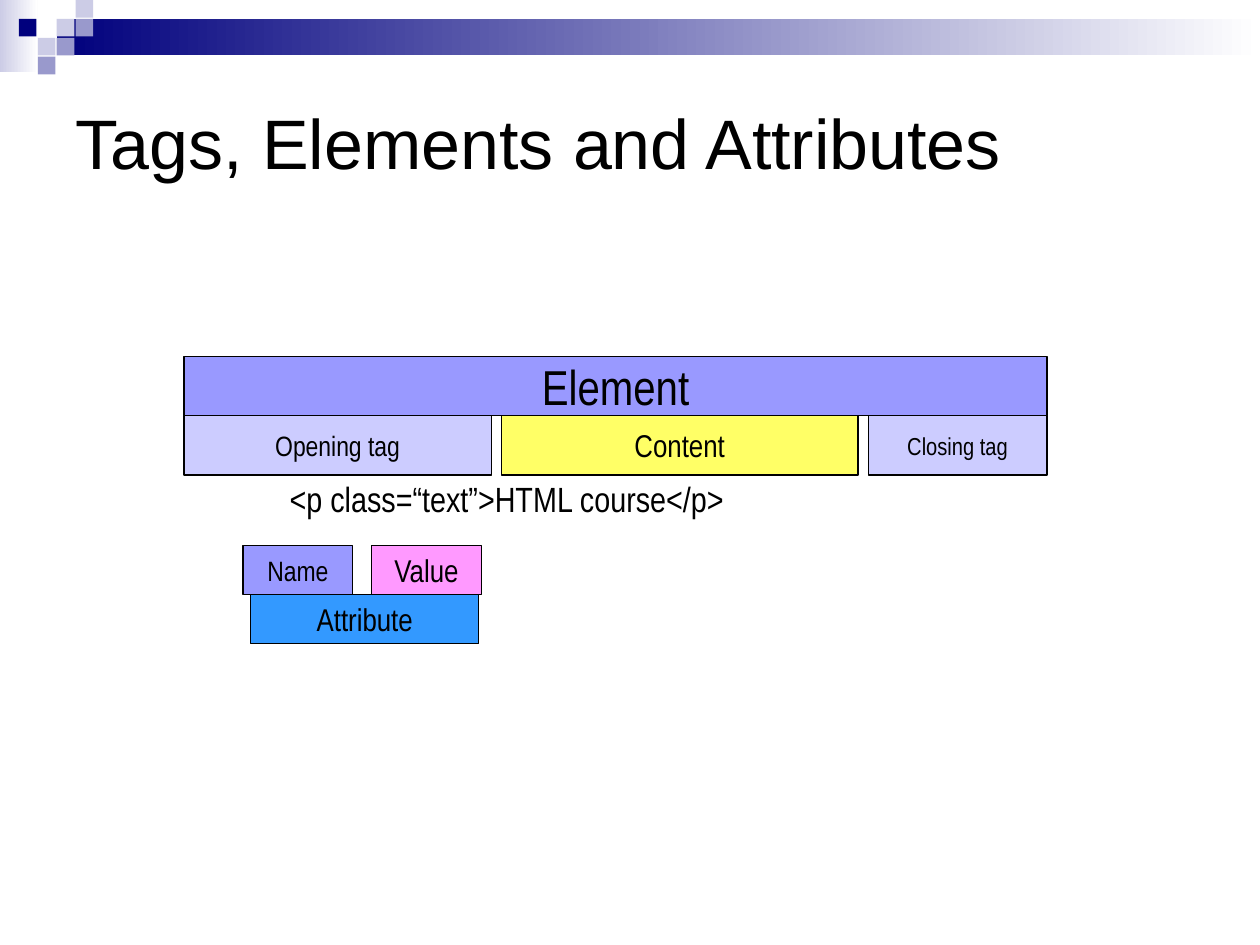
from pptx import Presentation
from pptx.dml.color import RGBColor
from pptx.enum.shapes import MSO_SHAPE
from pptx.enum.text import MSO_ANCHOR, PP_ALIGN
from pptx.util import Inches, Pt

RECT = MSO_SHAPE.RECTANGLE
MIDDLE = MSO_ANCHOR.MIDDLE
LEFT, CENTER = PP_ALIGN.LEFT, PP_ALIGN.CENTER
WIDE, HIGH = 10, 7.5
NAVY, MID, PALE, WHITE = "00007D", "9999CC", "CCCCE6", "FFFFFF"
BLACK, NARROW = "000000", "Arial Narrow"


def paint(color, code):
    color.rgb = RGBColor.from_string(code)


def rect(slide, x, y, w, h, *codes):
    """Draw a plain box; two colours give a fade from left to right."""
    box = slide.shapes.add_shape(RECT, *map(Inches, (x, y, w, h)))
    box.shadow.inherit = False
    box.line.fill.background()
    if len(codes) == 1:
        box.fill.solid()
        paint(box.fill.fore_color, codes[0])
    else:
        box.fill.gradient()
        box.fill.gradient_angle = 0
        for stop, code, place in zip(box.fill.gradient_stops, codes, (0, 1)):
            paint(stop.color, code)
            stop.position = place
    return box


def write(frame, text, size, font=NARROW, align=CENTER, wrap=False):
    frame.text = text
    frame.word_wrap = wrap
    frame.vertical_anchor = MIDDLE
    para = frame.paragraphs[0]
    para.alignment = align
    para.font.size = Pt(size)
    para.font.name = font
    paint(para.font.color, BLACK)


def label(slide, x, y, w, h, text, size, code):
    box = rect(slide, x, y, w, h, code)
    box.line.width = Pt(0.74)
    paint(box.line.color, BLACK)
    write(box.text_frame, text, size)


def banner(slide, x, y, w, step):
    """Fading bars with small squares on a grid of the given step."""
    rect(slide, x, y, 2 * step, 0.57, PALE, WHITE)
    rect(slide, x + 3 * step, y + step, w - 3 * step, 0.29, NAVY, WHITE)
    tiles = [(3, 1, PALE), (4, 0, PALE), (4, 1, MID), (2, 2, PALE),
             (1, 1, NAVY), (3, 2, MID), (2, 3, MID)]
    for col, row, code in tiles:
        rect(slide, x + col * step, y + row * step, 0.14, 0.14, code)


def heading(slide, x, y, w, h, text):
    title = slide.shapes.title
    title.left, title.top, title.width, title.height = map(Inches, (x, y, w, h))
    write(title.text_frame, text, 40, "Arial", LEFT, True)


def element(slide, x, y, w, row):
    """Element bar above its opening tag, content and closing tag."""
    label(slide, x, y, w, row, "Element", 28, "9999FF")
    gap, first, last = 0.08, 2.44, 1.42
    parts = [("Opening tag", 16, "CCCCFF", first),
             ("Content", 18, "FFFF66", w - first - last - 2 * gap),
             ("Closing tag", 14, "CCCCFF", last)]
    for text, size, code, span in parts:
        label(slide, x, y + row, span, row, text, size, code)
        x += span + gap


def sample(slide, x, y, w, h):
    box = slide.shapes.add_textbox(*map(Inches, (x, y, w, h)))
    write(box.text_frame, "<p class=“text”>HTML course</p>", 20, align=LEFT)


def trait(slide, x, y, w, row):
    """Name and value above the attribute bar."""
    cell = 0.87
    label(slide, x, y, cell, row, "Name", 16, "9999FF")
    label(slide, x + w - cell, y, cell, row, "Value", 18, "FF99FF")
    label(slide, x + 0.06, y + row, w - 0.08, row, "Attribute", 18, "3399FF")


deck = Presentation()
deck.slide_width, deck.slide_height = Inches(WIDE), Inches(HIGH)
page = deck.slides.add_slide(deck.slide_layouts[5])
banner(page, 0, 0, WIDE, 0.15)
heading(page, 0.5, 0.5, WIDE - 1, 1.25, "Tags, Elements and Attributes")
element(page, 1.46, 2.83, 6.85, 0.47)
sample(page, 2.2, 3.74, 3.65, 0.44)
trait(page, 1.93, 4.33, 1.89, 0.39)
deck.save("out.pptx")
